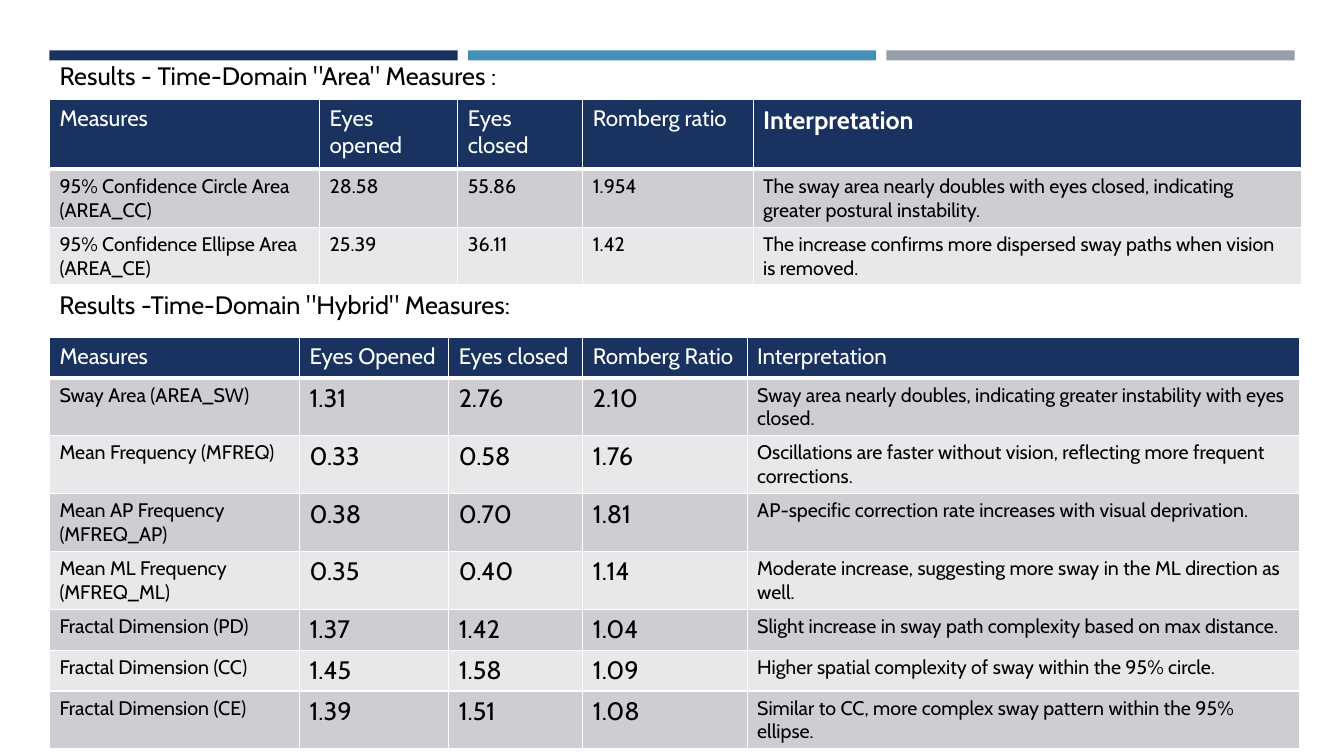
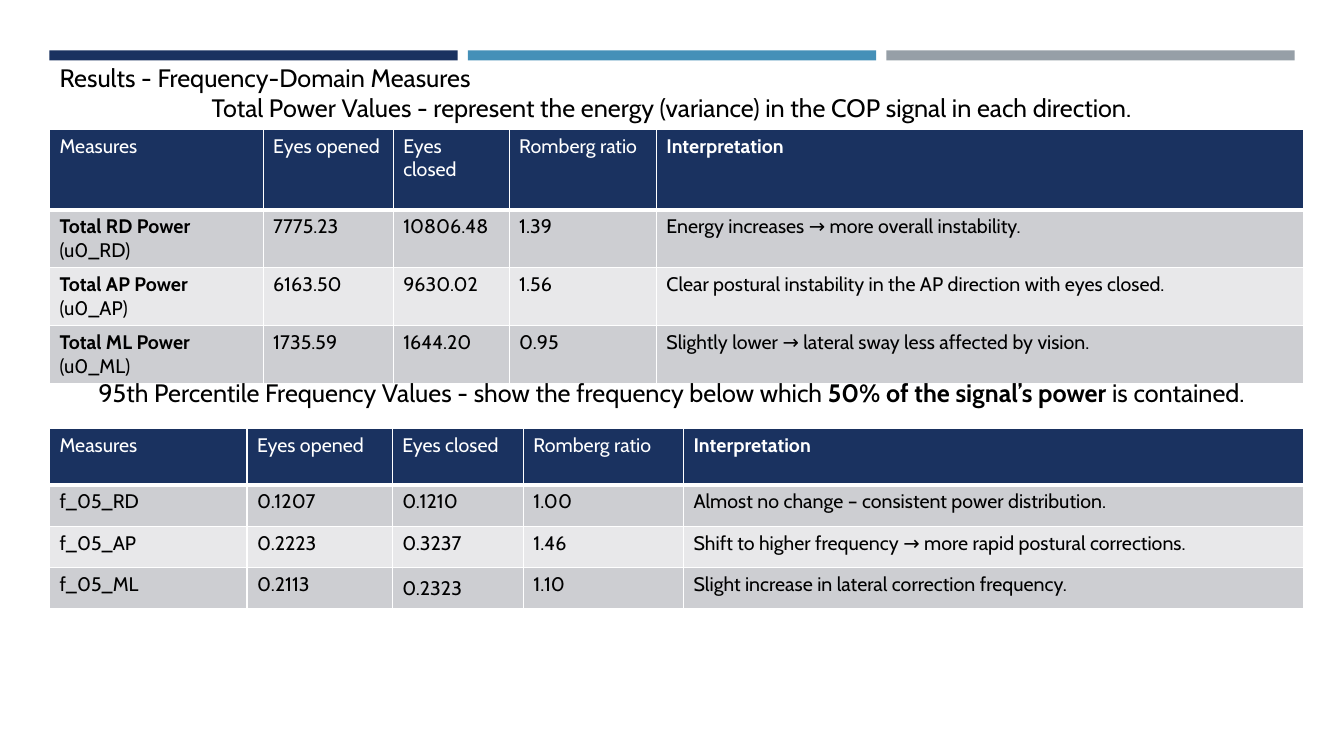
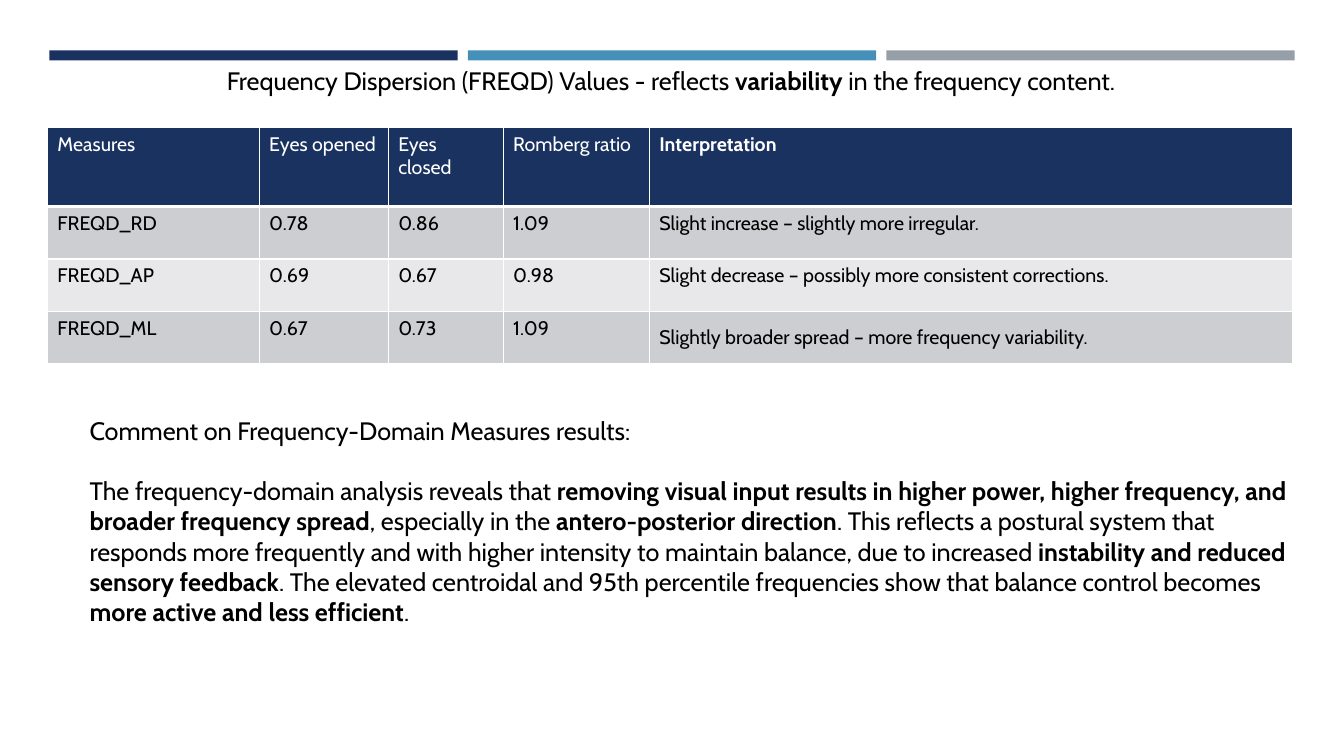
"""Build three slides of balance-test results with measure tables."""
import dataclasses

import pptx
import pptx.dml.color
import pptx.enum.shapes
import pptx.enum.text
import pptx.oxml
import pptx.oxml.ns
import pptx.util

Inches = pptx.util.Inches
LEFT = pptx.enum.text.PP_ALIGN.LEFT
CENTER = pptx.enum.text.PP_ALIGN.CENTER


@dataclasses.dataclass(frozen=True)
class Theme:
    """Colours, font and type sizes shared by all slides."""
    font: str = "Cabin"
    navy: str = "1A3260"
    blue: str = "4590B8"
    gray: str = "969FA7"
    white: str = "FFFFFF"
    black: str = "000000"
    row_dark: str = "CDCED2"
    row_light: str = "E8E8EA"
    text_size: float = 18
    header_size: float = 16
    cell_size: float = 14
    blank_line: float = 21.5
    border: float = 1
    header_border: float = 3


THEME = Theme()
HEADER = ("Measures", "Eyes opened", "Eyes closed", "Romberg ratio", "**Interpretation**")
SMALL_SIZES = (THEME.cell_size,) * 5


def rgb(color):
    """Turn a hex string into a colour object."""
    return pptx.dml.color.RGBColor.from_string(color)


def add_runs(paragraph, text, size, color=THEME.black):
    """Add text run by run; parts between double asterisks are bold."""
    for index, part in enumerate(text.split("**")):
        if part:
            run = paragraph.add_run()
            run.text = part
            run.font.name = THEME.font
            run.font.size = pptx.util.Pt(size)
            run.font.bold = index % 2 == 1
            run.font.color.rgb = rgb(color)


def fill_text(shape, place, lines, space_before=0):
    """Place a text shape and write its (text, alignment) lines."""
    shape.left, shape.top, shape.width, shape.height = map(Inches, place)
    frame = shape.text_frame
    frame.word_wrap = True
    frame.auto_size = pptx.enum.text.MSO_AUTO_SIZE.NONE
    frame.vertical_anchor = pptx.enum.text.MSO_ANCHOR.TOP
    for index, (text, alignment) in enumerate(lines):
        paragraph = frame.add_paragraph() if index else frame.paragraphs[0]
        paragraph.alignment = alignment
        if index and space_before:
            paragraph.space_before = pptx.util.Pt(space_before)
        add_runs(paragraph, text, THEME.text_size)


def add_text(slide, place, lines, space_before=0):
    """Add a text box."""
    fill_text(slide.shapes.add_textbox(0, 0, 0, 0), place, lines, space_before)


def add_titled_slide(presentation, layout, place, lines):
    """Add a slide and format its title."""
    slide = presentation.slides.add_slide(layout)
    fill_text(slide.shapes.title, place, lines)
    return slide


def move_bands_to_layout(slide, layout):
    """Draw the three top bands and hand them to the shared layout."""
    for index, color in enumerate((THEME.navy, THEME.blue, THEME.gray)):
        band = slide.shapes.add_shape(
            pptx.enum.shapes.MSO_SHAPE.RECTANGLE,
            Inches(0.49 + 4.15 * index), Inches(0.5), Inches(4.05), Inches(0.1))
        band.shadow.inherit = False
        band.fill.solid()
        band.fill.fore_color.rgb = rgb(color)
        band.line.fill.background()
        layout.element.cSld.spTree.append(band.element)


def set_borders(cell, top, bottom):
    """Give a cell white borders, with its own top and bottom widths."""
    properties = cell._tc.get_or_add_tcPr()
    widths = {"L": THEME.border, "R": THEME.border, "T": top, "B": bottom}
    for side, width in widths.items():
        properties.append(pptx.oxml.parse_xml(
            f'<a:ln{side} {pptx.oxml.ns.nsdecls("a")} w="{pptx.util.Pt(width)}">'
            f'<a:solidFill><a:srgbClr val="{THEME.white}"/></a:solidFill></a:ln{side}>'))


def add_table(slide, position, widths, heights, rows, header_sizes=SMALL_SIZES,
              sizes=SMALL_SIZES, middle_cell=None):
    """Add a table with a navy header and alternating body rows."""
    left, top = position
    table = slide.shapes.add_table(
        len(rows), len(widths), Inches(left), Inches(top),
        Inches(sum(widths)), Inches(sum(heights))).table
    table.horz_banding = False
    for column, width in zip(table.columns, widths):
        column.width = Inches(width)
    for row_index, (texts, height) in enumerate(zip(rows, heights)):
        table.rows[row_index].height = Inches(height)
        is_header = row_index == 0
        fill = THEME.navy if is_header else (THEME.row_light, THEME.row_dark)[row_index % 2]
        color = THEME.white if is_header else THEME.black
        row_sizes = header_sizes if is_header else sizes
        for column_index, (text, size) in enumerate(zip(texts, row_sizes)):
            cell = table.cell(row_index, column_index)
            set_borders(cell,
                        THEME.header_border if row_index == 1 else THEME.border,
                        THEME.header_border if is_header else THEME.border)
            cell.fill.solid()
            cell.fill.fore_color.rgb = rgb(fill)
            if (row_index, column_index) == middle_cell:
                cell.vertical_anchor = pptx.enum.text.MSO_ANCHOR.MIDDLE
            add_runs(cell.text_frame.paragraphs[0], text, size, color)


def build_time_domain(presentation, layout):
    """Build the area and hybrid measures slide."""
    slide = add_titled_slide(presentation, layout, (0.49, 0.55, 12.41, 0.4),
                             [('Results - Time-Domain "Area" Measures :', LEFT)])
    add_table(
        slide, (0.49, 0.99), (2.68, 1.37, 1.24, 1.69, 5.44), (0.69, 0.57, 0.57),
        [HEADER,
         ("95% Confidence Circle Area (AREA_CC)", "28.58", "55.86", "1.954",
          "The sway area nearly doubles with eyes closed, indicating greater postural instability."),
         ("95% Confidence Ellipse Area (AREA_CE)", "25.39", "36.11", "1.42",
          "The increase confirms more dispersed sway paths when vision is removed.")],
        header_sizes=(THEME.header_size,) * 4 + (THEME.text_size,))
    add_text(slide, (0.49, 2.82, 12.41, 0.4),
             [('Results -Time-Domain "Hybrid" Measures:', LEFT)])
    add_table(
        slide, (0.49, 3.35), (2.48, 1.48, 1.33, 1.63, 5.48),
        (0.4, 0.57, 0.57, 0.57, 0.57, 0.4, 0.4, 0.57),
        [("Measures", "Eyes Opened", "Eyes closed", "Romberg Ratio", "Interpretation"),
         ("Sway Area (AREA_SW)", "1.31", "2.76", "2.10",
          "Sway area nearly doubles, indicating greater instability with eyes closed."),
         ("Mean Frequency (MFREQ)", "0.33", "0.58", "1.76",
          "Oscillations are faster without vision, reflecting more frequent corrections."),
         ("Mean AP Frequency (MFREQ_AP)", "0.38", "0.70", "1.81",
          "AP-specific correction rate increases with visual deprivation."),
         ("Mean ML Frequency (MFREQ_ML)", "0.35", "0.40", "1.14",
          "Moderate increase, suggesting more sway in the ML direction as well."),
         ("Fractal Dimension (PD)", "1.37", "1.42", "1.04",
          "Slight increase in sway path complexity based on max distance."),
         ("Fractal Dimension (CC)", "1.45", "1.58", "1.09",
          "Higher spatial complexity of sway within the 95% circle."),
         ("Fractal Dimension (CE)", "1.39", "1.51", "1.08",
          "Similar to CC, more complex sway pattern within the 95% ellipse.")],
        header_sizes=(THEME.header_size,) * 5,
        sizes=(THEME.cell_size,) + (THEME.text_size,) * 3 + (THEME.cell_size,))
    return slide


def build_frequency_domain(presentation, layout):
    """Build the total power and percentile frequency slide."""
    slide = add_titled_slide(
        presentation, layout, (0.49, 0.57, 12.34, 0.71),
        [("Results - Frequency-Domain Measures", LEFT),
         ("Total Power Values - represent the energy (variance) in the COP signal "
          "in each direction.", CENTER)])
    add_table(
        slide, (0.49, 1.28), (2.12, 1.29, 1.15, 1.46, 6.42), (0.8, 0.57, 0.57, 0.57),
        [HEADER,
         ("**Total RD Power** (u0_RD)", "7775.23", "10806.48", "1.39",
          "Energy increases → more overall instability."),
         ("**Total AP Power** (u0_AP)", "6163.50", "9630.02", "1.56",
          "Clear postural instability in the AP direction with eyes closed."),
         ("**Total ML Power** (u0_ML)", "1735.59", "1644.20", "0.95",
          "Slightly lower → lateral sway less affected by vision.")])
    add_text(slide, (0.49, 3.69, 12.34, 0.4),
             [("95th Percentile Frequency Values - show the frequency below which "
               "**50% of the signal’s power** is contained.", CENTER)])
    add_table(
        slide, (0.49, 4.25), (1.96, 1.44, 1.3, 1.59, 6.15), (0.56, 0.41, 0.41, 0.41),
        [HEADER,
         ("f_05_RD", "0.1207", "0.1210", "1.00",
          "Almost no change – consistent power distribution."),
         ("f_05_AP", "0.2223", "0.3237", "1.46",
          "Shift to higher frequency → more rapid postural corrections."),
         ("f_05_ML", "0.2113", "0.2323", "1.10",
          "Slight increase in lateral correction frequency.")],
        middle_cell=(3, 2))


def build_dispersion(presentation, layout):
    """Build the frequency dispersion slide with its comment."""
    slide = add_titled_slide(
        presentation, layout, (0.47, 0.6, 12.37, 0.4),
        [("Frequency Dispersion (FREQD) Values - reflects **variability** "
          "in the frequency content.", CENTER)])
    add_table(
        slide, (0.47, 1.26), (2.1, 1.28, 1.14, 1.45, 6.38), (0.79, 0.52, 0.52, 0.52),
        [HEADER,
         ("FREQD_RD", "0.78", "0.86", "1.09", "Slight increase – slightly more irregular."),
         ("FREQD_AP", "0.69", "0.67", "0.98",
          "Slight decrease – possibly more consistent corrections."),
         ("FREQD_ML", "0.67", "0.73", "1.09",
          "Slightly broader spread – more frequency variability.")],
        middle_cell=(3, 4))
    add_text(
        slide, (0.79, 4.07, 12.33, 2.83),
        [("Comment on Frequency-Domain Measures results:", LEFT),
         ("The frequency-domain analysis reveals that **removing visual input results in "
          "higher power, higher frequency, and broader frequency spread**, especially in the "
          "**antero-posterior direction**. This reflects a postural system that responds more "
          "frequently and with higher intensity to maintain balance, due to increased "
          "**instability and reduced sensory feedback**. The elevated centroidal and 95th "
          "percentile frequencies show that balance control becomes "
          "**more active and less efficient**.", LEFT)],
        space_before=THEME.blank_line)


def main():
    """Build and save the presentation."""
    presentation = pptx.Presentation()
    presentation.slide_width = Inches(13.33)
    presentation.slide_height = Inches(7.5)
    layout = presentation.slide_layouts.get_by_name("Title Only")
    first_slide = build_time_domain(presentation, layout)
    move_bands_to_layout(first_slide, layout)
    build_frequency_domain(presentation, layout)
    build_dispersion(presentation, layout)
    presentation.save("out.pptx")


if __name__ == "__main__":
    main()
